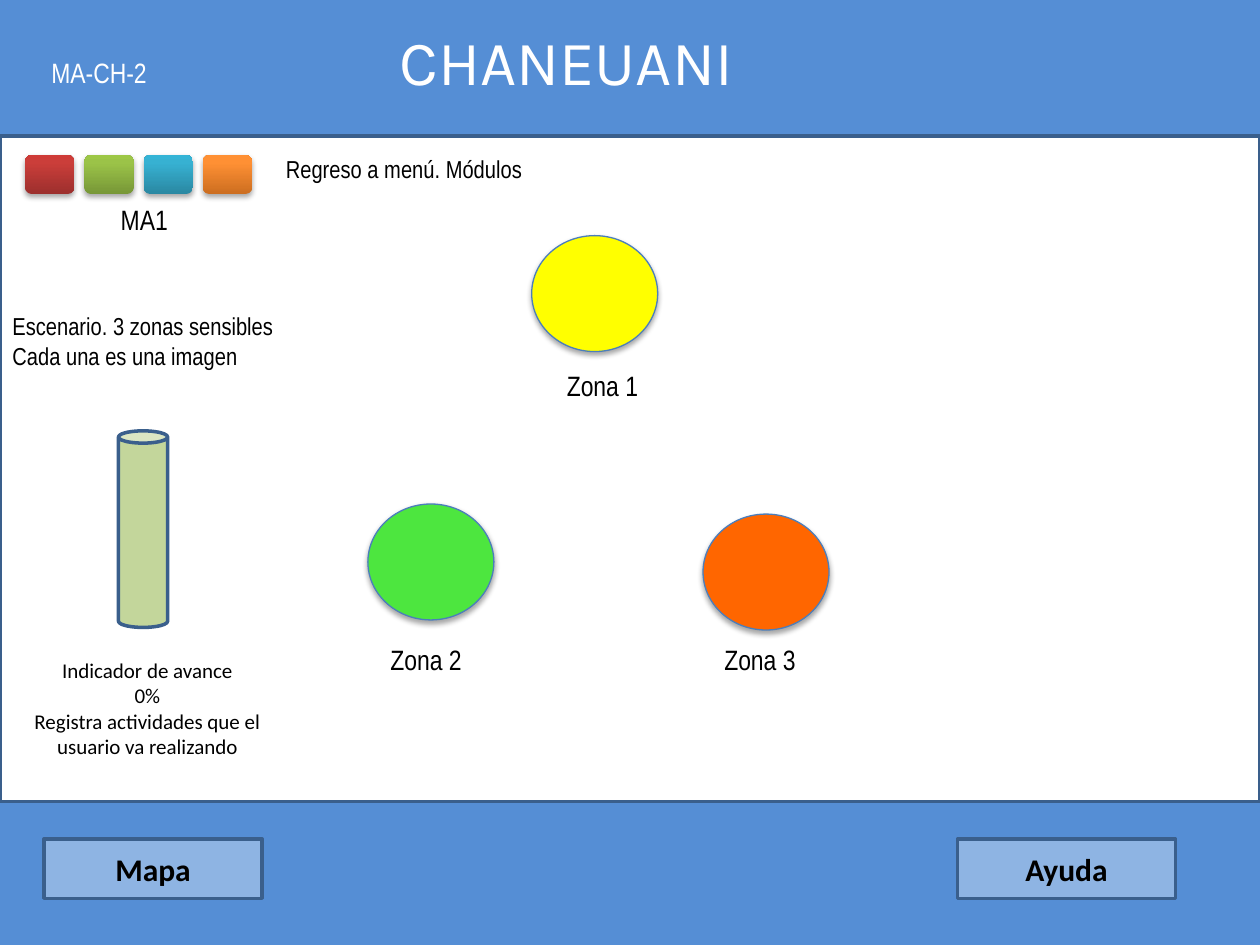
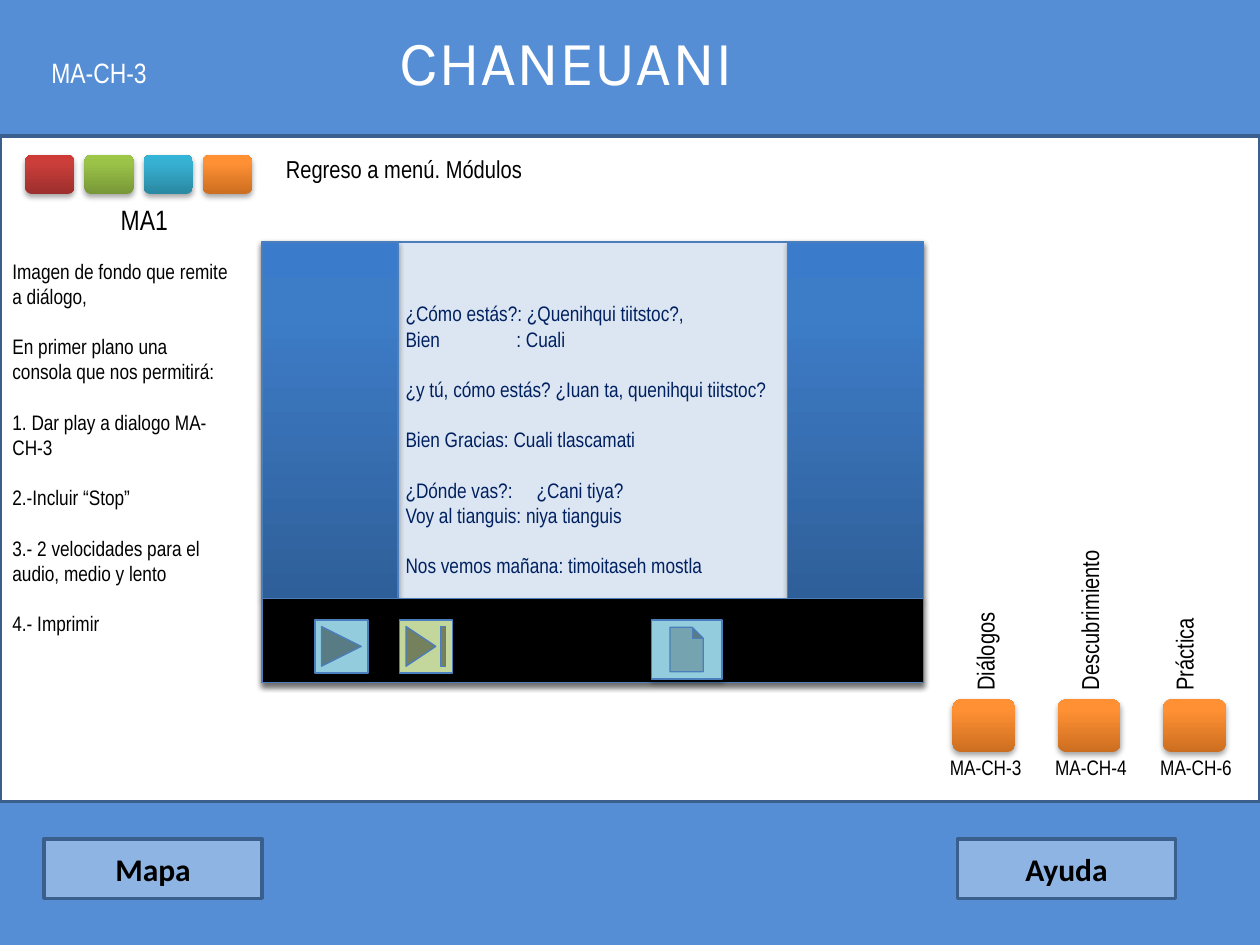
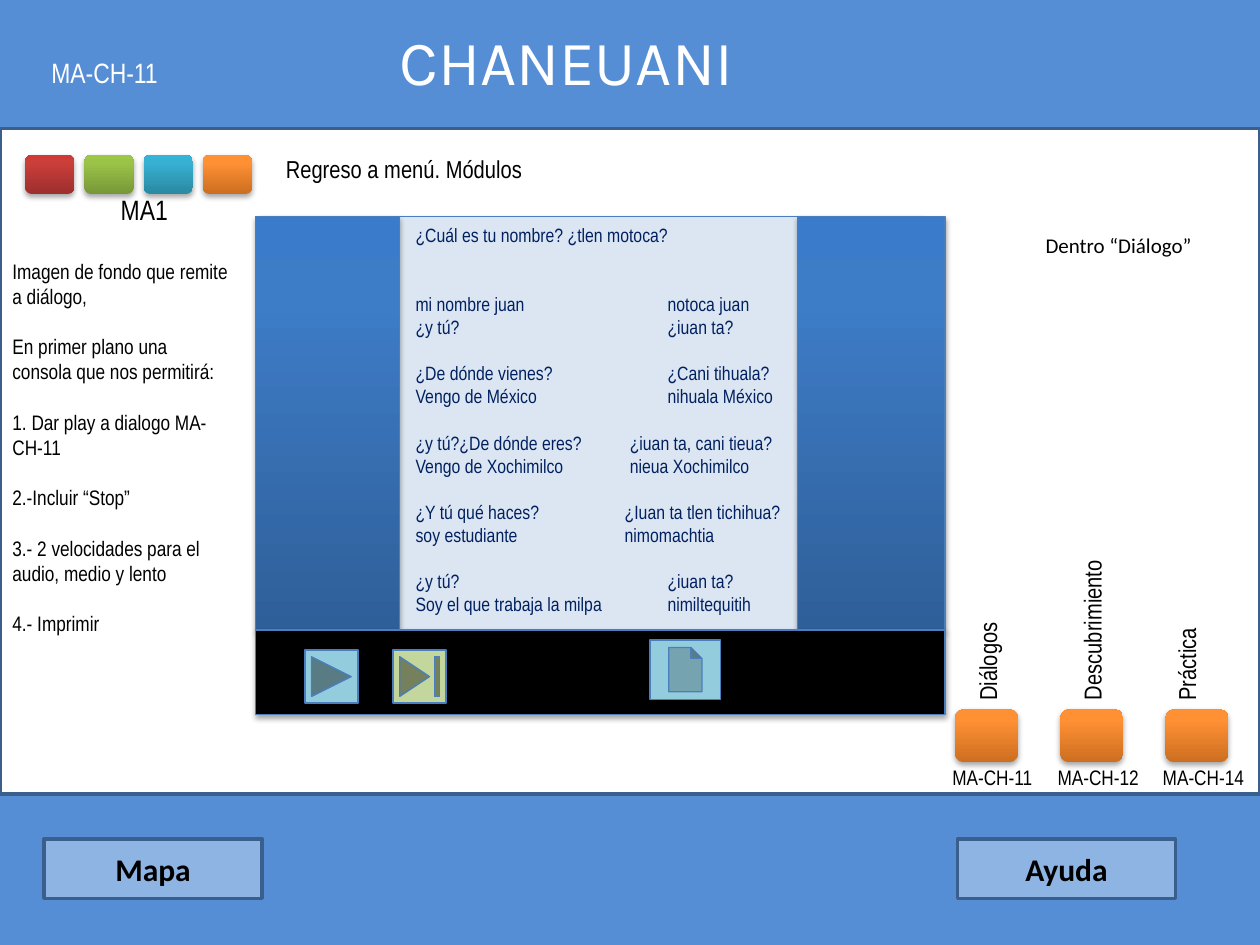
from pptx import Presentation
from pptx.dml.color import RGBColor
from pptx.enum.shapes import MSO_SHAPE
from pptx.enum.text import MSO_ANCHOR, MSO_AUTO_SIZE, PP_ALIGN
from pptx.oxml import parse_xml
from pptx.oxml.ns import nsdecls, qn
from pptx.util import Inches, Pt
from lxml.etree import SubElement

COLORS = {
    "background": "558ED5", "panel": "FFFFFF", "border": "3A5F8C", "outline": "4B7EBC",
    "button": "8EB4E3", "screen": "DCE6F2", "dialogue": "002060", "black": "000000",
    "white": "FFFFFF", "aqua": "93CDDD", "olive": "C3D69B",
    "yellow": "FFFF00", "green": "4DE63F", "orange": "FF6600",
}
# Gradients run from the bottom edge to the top edge
GRADIENTS = {
    "red": ("9C2F2D", "CB3E3A", "CE3B37"),
    "lime": ("779737", "9BC348", "9DC746"),
    "teal": ("2A88A2", "37B1D2", "34B4D6"),
    "amber": ("CC6E20", "FF9034", "FF9136"),
    "curtain": ("2F5F99", "3D7CC7", "3A7CCB"),
}
NARROW = "Arial Narrow"
LINE_SPACING = 1.2


def add_box(slide, kind, at, fill, line=None, line_width=0.75, shadow=True):
    shape = slide.shapes.add_shape(kind, *map(Inches, at))
    properties = shape._element.spPr
    if fill in GRADIENTS:
        shape.fill.gradient()
        stops = "".join(
            f'<a:gs pos="{position}"><a:srgbClr val="{color}"/></a:gs>'
            for position, color in zip((0, 80000, 100000), GRADIENTS[fill]))
        gradient = parse_xml(f'<a:gradFill {nsdecls("a")} rotWithShape="1"><a:gsLst>{stops}</a:gsLst>'
                             '<a:lin ang="16200000" scaled="0"/></a:gradFill>')
        properties.replace(properties.find(qn("a:gradFill")), gradient)
    else:
        shape.fill.solid()
        shape.fill.fore_color.rgb = RGBColor.from_string(COLORS[fill])
    if line:
        shape.line.color.rgb = RGBColor.from_string(COLORS[line])
        shape.line.width = Pt(line_width)
    else:
        shape.line.fill.background()
    shape.shadow.inherit = False
    if shadow:
        properties.find(qn("a:effectLst")).append(parse_xml(
            f'<a:outerShdw {nsdecls("a")} blurRad="40000" dist="23000" dir="5400000" rotWithShape="0">'
            '<a:srgbClr val="000000"><a:alpha val="35000"/></a:srgbClr></a:outerShdw>'))
    return shape


def write_text(shape, text, size, color="black", font=NARROW, bold=False, align=PP_ALIGN.LEFT):
    text_frame = shape.text_frame
    text_frame.text = text
    text_frame.word_wrap = True
    text_frame.auto_size = MSO_AUTO_SIZE.NONE
    for paragraph in text_frame.paragraphs:
        paragraph.alignment = align
        for run in paragraph.runs:
            run.font.size = Pt(size)
            run.font.name = font
            run.font.bold = bold
            run.font.color.rgb = RGBColor.from_string(COLORS[color])
    return text_frame.paragraphs


presentation = Presentation()
presentation.slide_width = Inches(10)
presentation.slide_height = Inches(7.5)
background = presentation.slide_master.background.fill
background.solid()
background.fore_color.rgb = RGBColor.from_string(COLORS["background"])

# Parts shared by all slides: code, top of the panel, top of the module label
slides = []
for code, panel_top, module_top in (("MA-CH-2", 1.08, 1.56), ("MA-CH-3", 1.08, 1.56),
                                    ("MA-CH-11", 1.02, 1.48)):
    slide = presentation.slides.add_slide(presentation.slide_layouts[5])
    slides.append(slide)
    add_box(slide, MSO_SHAPE.RECTANGLE, (0, panel_top, 10, 5.28), "panel", "border", 2, shadow=False)

    title = slide.shapes.title
    title.left, title.top, title.width, title.height = map(Inches, (3.07, 0.13, 3.28, 0.71))
    write_text(title, "CHANEUANI", 36, "white", "Karla")
    title.text_frame.vertical_anchor = MSO_ANCHOR.TOP

    for column, color in enumerate(("red", "lime", "teal", "amber")):
        add_box(slide, MSO_SHAPE.ROUNDED_RECTANGLE, (0.2 + 0.47 * column, 1.23, 0.39, 0.31), color)
    for left, label in ((0.35, "Mapa"), (7.6, "Ayuda")):
        button = add_box(slide, MSO_SHAPE.RECTANGLE, (left, 6.66, 1.73, 0.47),
                         "button", "border", 2, shadow=False)
        write_text(button, label, 18, font="Calibri", bold=True, align=PP_ALIGN.CENTER)
    for at, label, size, color in (
            ((0.31, 0.39, 1.17, 0.37), code, 16, "white"),
            ((0.86, module_top, 1.02, 0.37), "MA1", 16, "black"),
            ((2.17, 1.17, 2.28, 0.34), "Regreso a menú. Módulos", 14, "black")):
        write_text(slide.shapes.add_textbox(*map(Inches, at)), label, size, color)

# Slide 1: zones and progress indicator
zones_slide = slides[0]
for zone, (circle_left, circle_top, color, label_left, label_top) in enumerate((
        (4.22, 1.87, "yellow", 4.4, 2.88),
        (2.92, 4, "green", 3, 5.05),
        (5.58, 4.08, "orange", 5.65, 5.05)), start=1):
    add_box(zones_slide, MSO_SHAPE.OVAL, (circle_left, circle_top, 1, 0.92), color, "outline")
    label = zones_slide.shapes.add_textbox(*map(Inches, (label_left, label_top, 1.02, 0.37)))
    write_text(label, f"Zona {zone}", 16)

scenario = zones_slide.shapes.add_textbox(*map(Inches, (0, 2.42, 2.42, 0.57)))
write_text(scenario, "Escenario. 3 zonas sensibles\nCada una es una imagen", 14)
add_box(zones_slide, MSO_SHAPE.CAN, (0.94, 3.42, 0.39, 1.56), "olive", "border", 2, shadow=False)
progress = zones_slide.shapes.add_textbox(*map(Inches, (0.17, 5.17, 2, 0.91)))
write_text(progress, "Indicador de avance\n0%\nRegistra actividades que el usuario va realizando",
           12, font="Calibri", align=PP_ALIGN.CENTER)

# Slides 2 and 3: dialogue consoles
# Each dialogue line: text, blank lines before it, tab stop in inches
consoles = (
    {
        "slide": slides[1], "code": "MA-CH-3",
        "screen": (2.08, 1.92, 5.25, 3.5),
        "curtains": ((2.08, 1.08), (6.25, 1.08)), "bar_top": 4.75,
        "icons": ((2.5, 4.92), (3.17, 4.92), (5.17, 4.92)),
        "text_at": (3.12, 2.34, 3.15, 2.73), "text_size": 12,
        "lines": (
            ("¿Cómo estás?: ¿Quenihqui tiitstoc?,", 0, 0),
            ("Bien\t: Cuali", 0, 0.88),
            ("¿y tú, cómo estás? ¿Iuan ta, quenihqui tiitstoc?", 1, 0),
            ("Bien Gracias: Cuali tlascamati", 1, 0),
            ("¿Dónde vas?:\t¿Cani tiya?", 1, 1.04),
            ("Voy al tianguis: niya tianguis", 0, 0),
            ("Nos vemos mañana: timoitaseh mostla", 1, 0),
        ),
        "menu_at": (7.56, 5.55), "menu_codes": ("MA-CH-3", "MA-CH-4", "MA-CH-6"),
    },
    {
        "slide": slides[2], "code": "MA-CH-11",
        "screen": (2.08, 1.72, 5.25, 3.7),
        "curtains": ((2.03, 1.14), (6.33, 1.17)), "bar_top": 5,
        "icons": ((2.42, 5.16), (3.12, 5.16), (5.16, 5.08)),
        "text_at": (3.2, 1.72, 3.13, 4.02), "text_size": 11,
        "lines": (
            ("¿Cuál es tu nombre? ¿tlen motoca?", 0, 0),
            ("mi nombre juan\tnotoca juan", 2, 2),
            ("¿y tú?\t¿iuan ta?", 0, 2),
            ("¿De dónde vienes?\t¿Cani tihuala?", 1, 2),
            ("Vengo de México\tnihuala México", 0, 2),
            ("¿y tú?¿De dónde eres?\t¿iuan ta, cani tieua?", 1, 1.7),
            ("Vengo de Xochimilco\tnieua Xochimilco", 0, 1.7),
            ("¿Y tú qué haces?\t¿Iuan ta tlen tichihua?", 1, 1.66),
            ("soy estudiante\tnimomachtia", 0, 1.66),
            ("¿y tú?\t¿iuan ta?", 1, 2),
            ("Soy el que trabaja la milpa\tnimiltequitih", 0, 2),
        ),
        "menu_at": (7.58, 5.63), "menu_codes": ("MA-CH-11", "MA-CH-12", "MA-CH-14"),
    },
)
ICONS = (
    (MSO_SHAPE.ACTION_BUTTON_FORWARD_OR_NEXT, "aqua", 0.42, 0.42),
    (MSO_SHAPE.ACTION_BUTTON_END, "olive", 0.42, 0.42),
    (MSO_SHAPE.ACTION_BUTTON_DOCUMENT, "aqua", 0.56, 0.47),
)
# Menu label, offset from its button, width
MENU = (("Diálogos", -0.37, -0.76, 1.25), ("Descubrimiento", -0.43, -0.82, 1.36),
        ("Práctica", -0.46, -0.76, 1.25))

for console in consoles:
    slide = console["slide"]

    # Screen, side curtains and control bar
    add_box(slide, MSO_SHAPE.RECTANGLE, console["screen"], "screen", "outline")
    top, bar_top = console["screen"][1], console["bar_top"]
    for left, width in console["curtains"]:
        add_box(slide, MSO_SHAPE.RECTANGLE, (left, top, width, bar_top - top), "curtain", "outline")
    bar_left = console["curtains"][0][0]
    bar_width = sum(console["curtains"][1]) - bar_left
    add_box(slide, MSO_SHAPE.RECTANGLE, (bar_left, bar_top, bar_width, 0.67), "black", "outline")
    for (kind, color, width, height), position in zip(ICONS, console["icons"]):
        add_box(slide, kind, (*position, width, height), color, "outline")

    # Instructions
    instructions = slide.shapes.add_textbox(*map(Inches, (0, 2, 1.92, 3.33)))
    paragraphs = write_text(instructions, "\n".join((
        "Imagen de fondo que remite",
        "a diálogo,",
        "En primer plano una consola que nos permitirá:",
        f"1. Dar play a dialogo {console['code']}",
        "2.-Incluir “Stop”",
        "3.- 2 velocidades para el audio, medio y lento",
        "4.- Imprimir")), 12)
    for paragraph in paragraphs[2:]:
        paragraph.space_before = Pt(12 * LINE_SPACING)

    # Dialogue
    size = console["text_size"]
    dialogue = slide.shapes.add_textbox(*map(Inches, console["text_at"]))
    paragraphs = write_text(dialogue, "\n".join(line[0] for line in console["lines"]), size, "dialogue")
    for paragraph, (text, blank_lines, tab) in zip(paragraphs, console["lines"]):
        paragraph.space_before = Pt(blank_lines * size * LINE_SPACING)
        if tab:
            tab_list = SubElement(paragraph._p.get_or_add_pPr(), qn("a:tabLst"))
            SubElement(tab_list, qn("a:tab"), pos=str(Inches(tab)), algn="l")

    # Section menu
    menu_left, menu_top = console["menu_at"]
    for column, (name, offset_x, offset_y, width) in enumerate(MENU):
        left = menu_left + 0.835 * column
        add_box(slide, MSO_SHAPE.ROUNDED_RECTANGLE, (left, menu_top, 0.5, 0.42), "amber")
        label = slide.shapes.add_textbox(
            *map(Inches, (left + offset_x, menu_top + offset_y, width, 0.33)))
        label.rotation = 270
        write_text(label, name, 14)
        code_label = slide.shapes.add_textbox(*map(Inches, (left - 0.12, menu_top + 0.39, 0.86, 0.3)))
        write_text(code_label, console["menu_codes"][column], 12)

# Note on slide 3
note = slides[2].shapes.add_textbox(*map(Inches, (8.2, 1.8, 1.56, 0.3)))
write_text(note, "Dentro “Diálogo”", 12, font="Calibri")

presentation.save("out.pptx")
